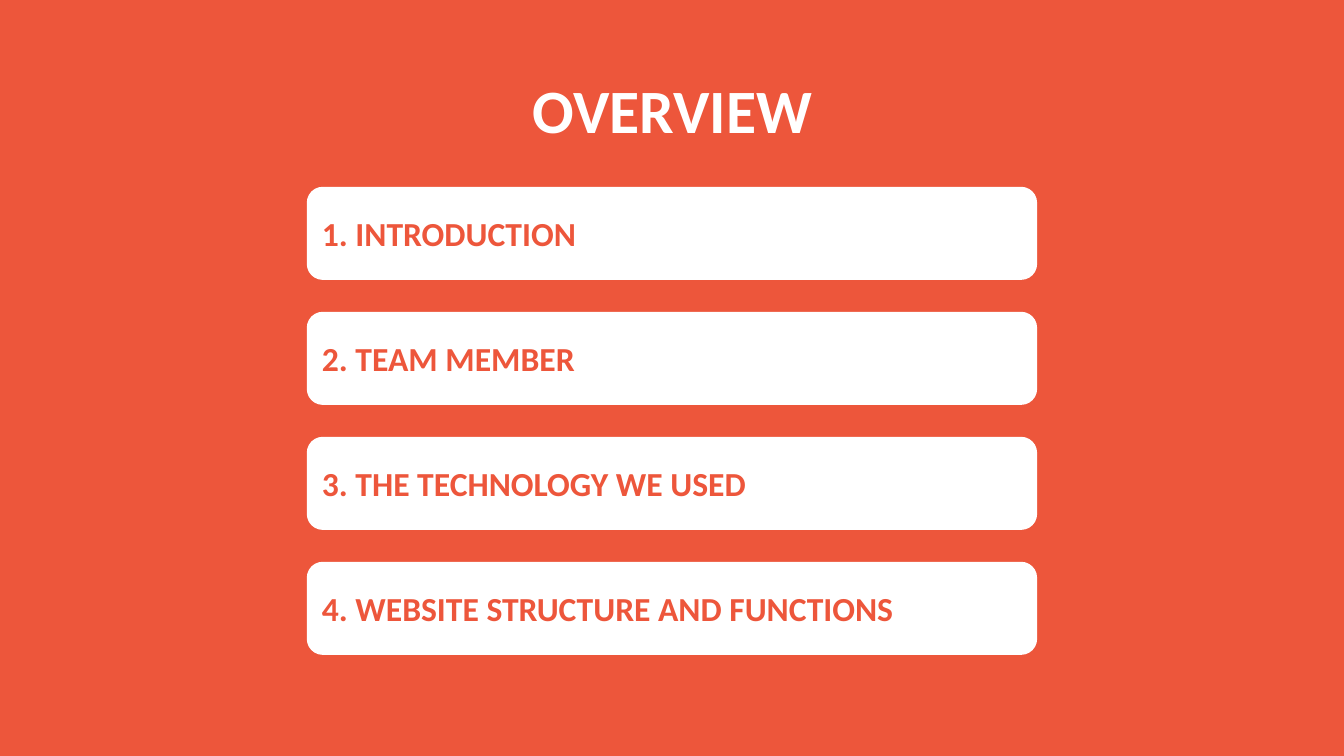
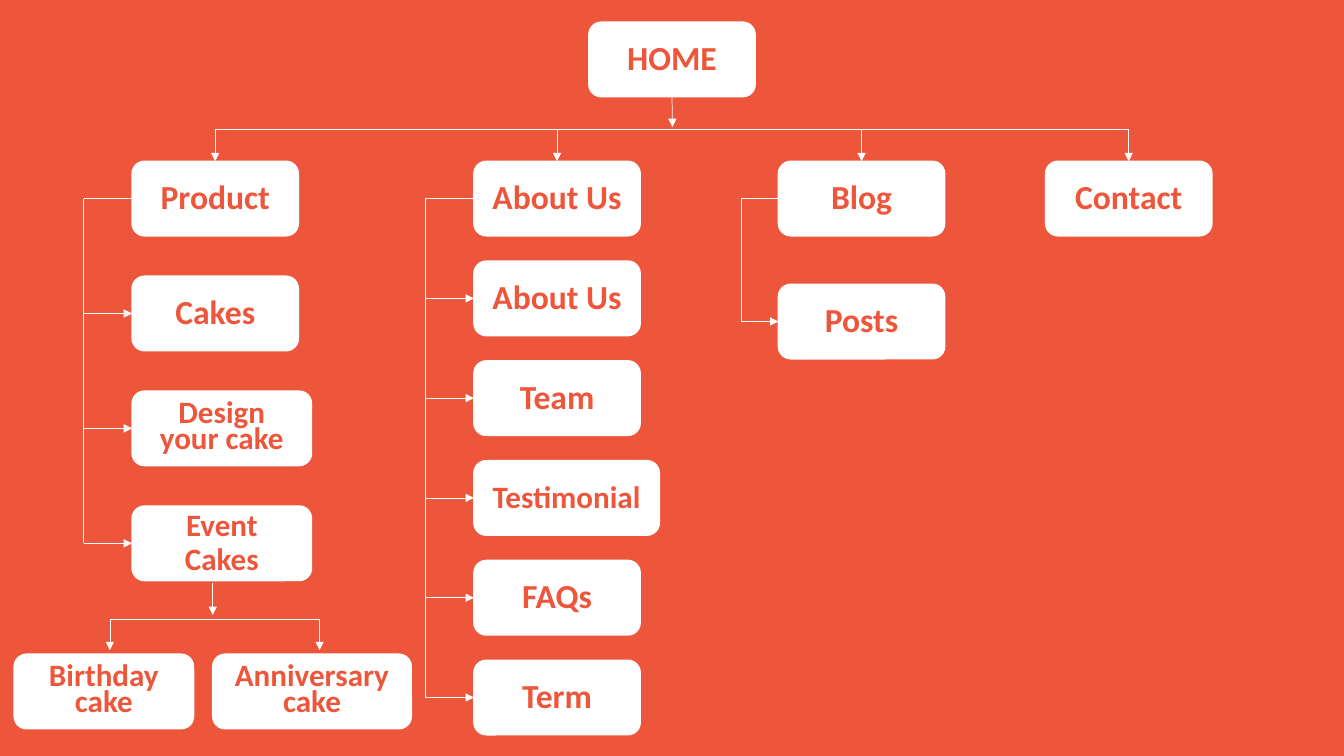
"""Build the overview slide and the website structure slide."""
import pptx
import pptx.dml.color
import pptx.enum.shapes
import pptx.enum.text
import pptx.oxml.ns
import pptx.util
from lxml import etree

Inches = pptx.util.Inches
Pt = pptx.util.Pt
ALIGN = pptx.enum.text.PP_ALIGN
MIDDLE = pptx.enum.text.MSO_ANCHOR.MIDDLE

ORANGE = pptx.dml.color.RGBColor(0xED, 0x56, 0x3B)
WHITE = pptx.dml.color.RGBColor(0xFF, 0xFF, 0xFF)

TOP, LEFT, BOTTOM = 0, 1, 2
TITLE_ONLY, BLANK = 5, 6

NODE_WIDTH, NODE_HEIGHT = 1.65, 0.74
ROW_TOP, BUS_Y = 1.6, 1.28
TITLE_FONT = {"name": "Calibri", "size": Pt(44), "bold": True}
LABEL_FONT = {"name": "Calibri", "size": Pt(24), "bold": True}
SMALL_FONT = {"name": "Calibri", "size": Pt(22.2), "bold": True}
TITLE_PARAGRAPH = {"alignment": ALIGN.CENTER, "line_spacing": 0.9}
ITEM_PARAGRAPH = {"alignment": ALIGN.LEFT}
NODE_PARAGRAPH = {"alignment": ALIGN.CENTER, "line_spacing": 0.9}
TIGHT_PARAGRAPH = {"alignment": ALIGN.CENTER, "line_spacing": 0.7}

OVERVIEW_ITEMS = [
    "1. INTRODUCTION",
    "2. TEAM MEMBER",
    "3. THE TECHNOLOGY WE USED",
    "4. WEBSITE STRUCTURE AND FUNCTIONS",
]
COLUMNS = [
    {"left": 1.31, "pitch": 1.14, "indent": 0.48,
     "labels": ["Product", "Cakes", "Design your cake", "Event Cakes"]},
    {"left": 4.7, "pitch": 0.99, "indent": 0.48,
     "labels": ["About Us", "About Us", "Team", "Testimonial", "FAQs", "Term"]},
    {"left": 7.72, "pitch": 1.22, "indent": 0.37, "labels": ["Blog", "Posts"]},
    {"left": 10.37, "pitch": 1.22, "indent": 0.37, "labels": ["Contact"]},
]
WIDE_NODES = {
    "Design your cake": (1.78, TIGHT_PARAGRAPH),
    "Event Cakes": (1.78, NODE_PARAGRAPH),
    "Testimonial": (1.84, NODE_PARAGRAPH),
    "Birthday cake": (1.78, TIGHT_PARAGRAPH),
    "Anniversary cake": (1.97, TIGHT_PARAGRAPH),
}


def set_attributes(target, values):
    """Set every attribute named in a dict of format values."""
    for name, value in values.items():
        setattr(target, name, value)


def write_text(shape, text, paragraph_format, font_format, color):
    """Put one formatted, vertically centred paragraph in a shape."""
    frame = shape.text_frame
    set_attributes(frame, {"text": text, "word_wrap": True, "vertical_anchor": MIDDLE})
    paragraph = frame.paragraphs[0]
    set_attributes(paragraph, paragraph_format)
    set_attributes(paragraph.font, font_format)
    paragraph.font.color.rgb = color


def add_title(slide, text, left, top, width, height):
    """Place and format the title placeholder."""
    title = slide.shapes.title
    box = {"left": left, "top": top, "width": width, "height": height}
    set_attributes(title, {name: Inches(value) for name, value in box.items()})
    write_text(title, text, TITLE_PARAGRAPH, TITLE_FONT, WHITE)


def add_card(slide, text, left, top, width, height, paragraph_format, font_format):
    """Add a white rounded card with orange text."""
    card = slide.shapes.add_shape(
        pptx.enum.shapes.MSO_SHAPE.ROUNDED_RECTANGLE,
        Inches(left), Inches(top), Inches(width), Inches(height))
    card.shadow.inherit = False
    card.fill.solid()
    card.fill.fore_color.rgb = WHITE
    card.line.color.rgb = WHITE
    card.line.width = Pt(1)
    write_text(card, text, paragraph_format, font_format, ORANGE)
    return card


def add_node(slide, text, left, top):
    """Add one page of the site map."""
    width, paragraph_format = WIDE_NODES.get(text, (NODE_WIDTH, NODE_PARAGRAPH))
    font_format = SMALL_FONT if text in WIDE_NODES else LABEL_FONT
    return add_card(slide, text, left, top, width, NODE_HEIGHT,
                    paragraph_format, font_format)


def add_line(slide, start, end, arrow=False, begin_site=None, end_site=None):
    """Add a thin white line, joined to any (shape, side) given."""
    line = slide.shapes.add_connector(
        pptx.enum.shapes.MSO_CONNECTOR.STRAIGHT,
        *(Inches(value) for value in (*start, *end)))
    line.line.color.rgb = WHITE
    line.line.width = Pt(0.5)
    if arrow:
        outline = line.line._get_or_add_ln()
        etree.SubElement(outline, pptx.oxml.ns.qn("a:tailEnd"), type="triangle")
    properties = line._element.spPr
    etree.SubElement(properties, pptx.oxml.ns.qn("a:effectLst"))
    if begin_site:
        line.begin_connect(*begin_site)
    if end_site:
        line.end_connect(*end_site)


def add_column(slide, left, pitch, indent, labels):
    """Add a section page, its child pages and the lines between them."""
    tops = [ROW_TOP + pitch * row for row in range(len(labels))]
    nodes = [add_node(slide, label, left, top) for label, top in zip(labels, tops)]
    center = left + NODE_WIDTH / 2
    add_line(slide, (center, BUS_Y), (center, ROW_TOP), arrow=True,
             end_site=(nodes[0], TOP))
    if len(nodes) == 1:
        return
    trunk = left - indent
    middles = [top + NODE_HEIGHT / 2 for top in tops]
    add_line(slide, (trunk, middles[0]), (trunk, middles[-1]))
    for row, (node, middle) in enumerate(zip(nodes, middles)):
        add_line(slide, (trunk, middle), (left, middle), arrow=row > 0,
                 end_site=(node, LEFT))


def add_event_branch(slide):
    """Add the two kinds of event cake below their parent page."""
    branch_y, arrow_end = 6.14, 6.45
    branch_xs = (1.09, 3.17)
    add_line(slide, (2.11, 5.78), (2.11, 6.1), arrow=True)
    add_line(slide, (branch_xs[0], branch_y), (branch_xs[1], branch_y))
    for x in branch_xs:
        add_line(slide, (x, branch_y), (x, arrow_end), arrow=True)
    for label, left in (("Birthday cake", 0.14), ("Anniversary cake", 2.11)):
        add_node(slide, label, left, 6.49)


def build_overview(presentation):
    """Build the list of topics."""
    slide = presentation.slides.add_slide(presentation.slide_layouts[TITLE_ONLY])
    add_title(slide, "OVERVIEW", 0.92, 0.4, 11.5, 1.45)
    for row, text in enumerate(OVERVIEW_ITEMS):
        add_card(slide, text, 3.05, 1.86 + 1.24 * row, 7.23, 0.91,
                 ITEM_PARAGRAPH, LABEL_FONT)


def build_site_map(presentation):
    """Build the website structure."""
    slide = presentation.slides.add_slide(presentation.slide_layouts[BLANK])
    home = add_node(slide, "HOME", 5.84, 0.22)
    add_line(slide, (6.67, 0.96), (6.67, 1.26), arrow=True, begin_site=(home, BOTTOM))
    first, last = (COLUMNS[index]["left"] + NODE_WIDTH / 2 for index in (0, -1))
    add_line(slide, (first, BUS_Y), (last, BUS_Y))
    for column in COLUMNS:
        add_column(slide, **column)
    add_event_branch(slide)


def main():
    """Create and save the presentation."""
    presentation = pptx.Presentation()
    presentation.slide_width = Inches(13.33)
    presentation.slide_height = Inches(7.5)
    background = presentation.slide_master.background.fill
    background.solid()
    background.fore_color.rgb = ORANGE
    build_overview(presentation)
    build_site_map(presentation)
    presentation.save("out.pptx")


if __name__ == "__main__":
    main()
